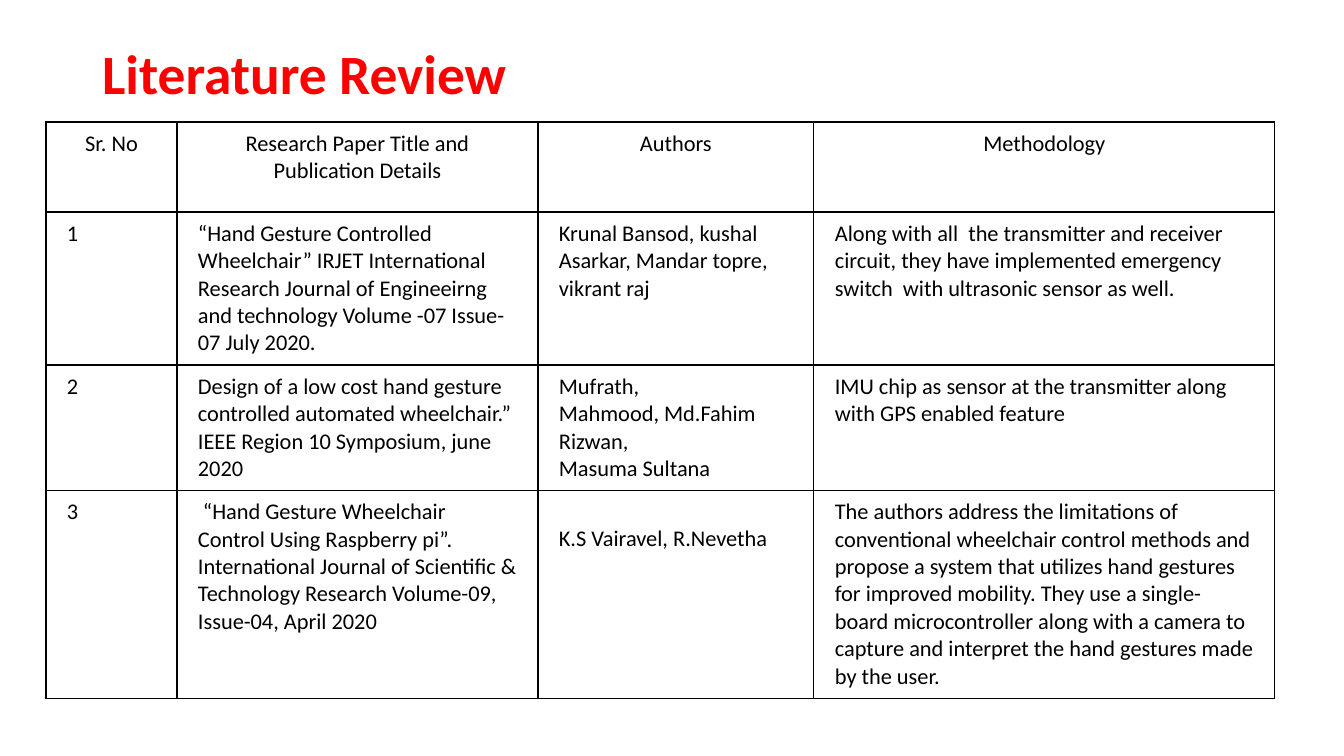
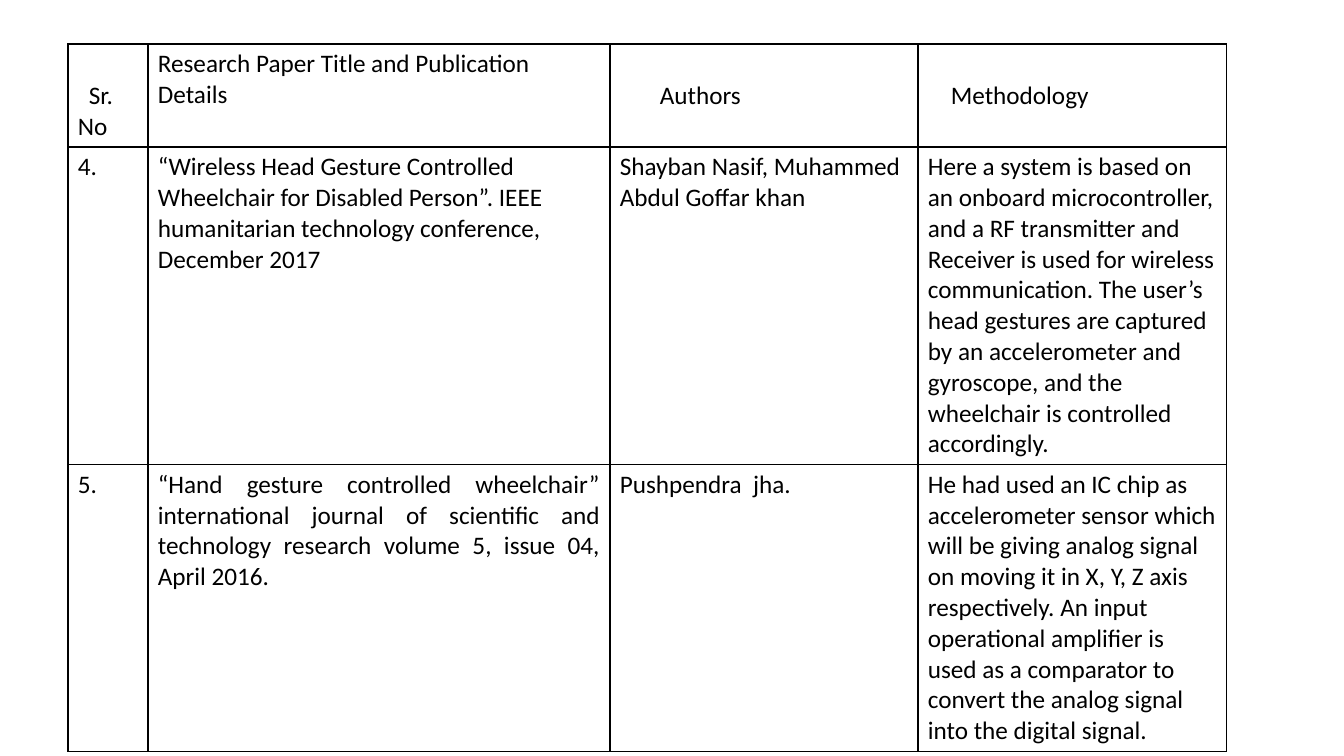
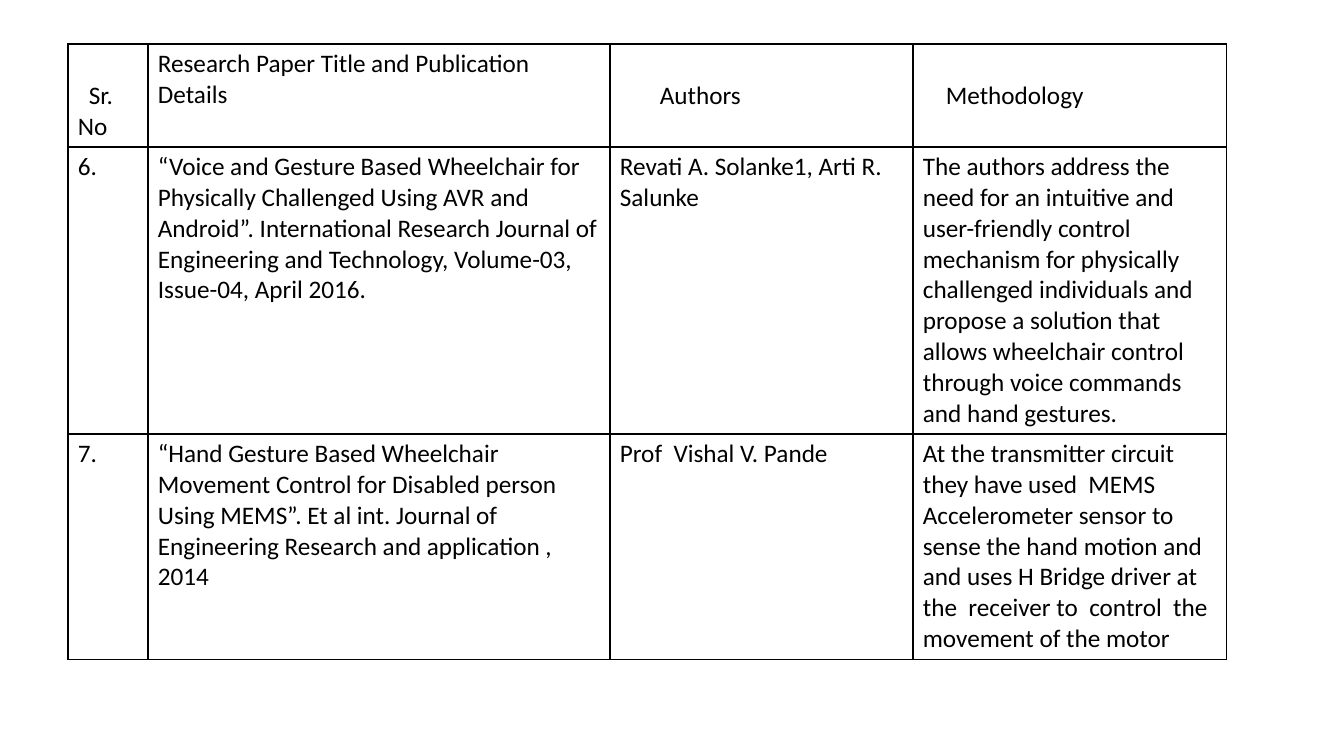
from lxml import etree
from pptx import Presentation
from pptx import util as u
from pptx.dml.color import RGBColor
from pptx.enum import text
from pptx.oxml.ns import qn

PX = 914400 / 100.8
FONT, INK, ACCENT = "Calibri", "000000", "FF0000"
TOP, MIDDLE, BOTTOM = text.MSO_ANCHOR.TOP, text.MSO_ANCHOR.MIDDLE, text.MSO_ANCHOR.BOTTOM
CENTER, JUSTIFY = text.PP_ALIGN.CENTER, text.PP_ALIGN.JUSTIFY


def px(length):
    return u.Emu(round(length * PX))


def color(hex_value):
    return RGBColor.from_string(hex_value)


# Shared formats
title_font = {"name": FONT, "size": u.Pt(39.6), "bold": True}
headings = ["Sr. No", "Research Paper Title and Publication Details", "Authors", "Methodology"]
centred_header = {(0, column): {"align": CENTER} for column in range(4)}
offset_header = {
    (0, 0): {"anchor": BOTTOM, "indent": 11},
    (0, 2): {"anchor": MIDDLE, "indent": 40},
    (0, 3): {"anchor": MIDDLE, "indent": 23},
}
wide_page = {"left": 68, "top": 44, "size": 18, "inset": (10, 5)}

# Review pages
pages = [
    {
        "title": "Literature Review",
        "left": 46, "top": 122, "size": 16, "inset": (21, 8),
        "widths": [131, 361, 276, 461],
        "heights": [90, 153, 125, 208],
        "formats": {**centred_header, (3, 1): {"indent": 5}, (3, 2): {"drop": 27}},
        "papers": [
            ["1",
             "“Hand Gesture Controlled Wheelchair” IRJET International Research Journal of "
             "Engineeirng and technology Volume -07 Issue- 07 July 2020.",
             "Krunal Bansod, kushal Asarkar, Mandar topre, vikrant raj",
             "Along with all  the transmitter and receiver circuit, they have implemented "
             "emergency switch  with ultrasonic sensor as well."],
            ["2",
             "Design of a low cost hand gesture controlled automated wheelchair.” "
             "IEEE Region 10 Symposium, june 2020",
             "Mufrath,\nMahmood, Md.Fahim Rizwan,\nMasuma Sultana",
             "IMU chip as sensor at the transmitter along with GPS enabled feature"],
            ["3",
             "“Hand Gesture Wheelchair Control Using Raspberry pi”. International Journal of "
             "Scientific & Technology Research Volume-09, Issue-04, April 2020",
             "K.S Vairavel, R.Nevetha",
             "The authors address the limitations of conventional wheelchair control methods "
             "and propose a system that utilizes hand gestures for improved mobility. They use "
             "a single-board microcontroller along with a camera to capture and interpret the "
             "hand gestures made by the user."],
        ],
    },
    {
        **wide_page,
        "widths": [80, 462, 308, 309],
        "heights": [103, 317, 287],
        "formats": {**offset_header, (2, 1): {"align": JUSTIFY}},
        "papers": [
            ["4.",
             "“Wireless Head Gesture Controlled Wheelchair for Disabled Person”. IEEE "
             "humanitarian technology conference, December 2017",
             "Shayban Nasif, Muhammed Abdul Goffar khan",
             "Here a system is based on an onboard microcontroller, and a RF transmitter and "
             "Receiver is used for wireless communication. The user’s head gestures are "
             "captured by an accelerometer and gyroscope, and the wheelchair is controlled "
             "accordingly."],
            ["5.",
             "“Hand gesture controlled wheelchair” international journal of scientific and "
             "technology research volume 5, issue 04, April 2016.",
             "Pushpendra  jha.",
             "He had used an IC chip as accelerometer sensor which will be giving analog signal "
             "on moving it in X, Y, Z axis respectively. An input operational amplifier is used "
             "as a comparator to convert the analog signal into the digital signal."],
        ],
    },
    {
        **wide_page,
        "widths": [80, 462, 303, 314],
        "heights": [103, 287, 225],
        "formats": offset_header,
        "papers": [
            ["6.",
             "“Voice and Gesture Based Wheelchair for Physically Challenged Using AVR and "
             "Android”. International Research Journal of Engineering and Technology, "
             "Volume-03, Issue-04, April 2016.",
             "Revati A. Solanke1, Arti R. Salunke",
             "The authors address the need for an intuitive and user-friendly control mechanism "
             "for physically challenged individuals and propose a solution that allows "
             "wheelchair control through voice commands and hand gestures."],
            ["7.",
             "“Hand Gesture Based Wheelchair Movement Control for Disabled person Using MEMS”. "
             "Et al int. Journal of Engineering Research and application , 2014",
             "Prof  Vishal V. Pande",
             "At the transmitter circuit they have used  MEMS Accelerometer sensor to sense the "
             "hand motion and and uses H Bridge driver at the  receiver to  control  the "
             "movement of the motor"],
        ],
    },
]

prs = Presentation()
prs.slide_width, prs.slide_height = px(1344), px(756)
title_only, blank = prs.slide_layouts[5], prs.slide_layouts[6]

for page in pages:
    slide = prs.slides.add_slide(title_only if "title" in page else blank)

    # Heading
    if "title" in page:
        heading = slide.shapes.title
        heading.left, heading.top, heading.width, heading.height = map(px, (92, 40, 1159, 73))
        frame = heading.text_frame
        frame.text = page["title"]
        frame.auto_size = text.MSO_AUTO_SIZE.NONE
        frame.vertical_anchor = MIDDLE
        line = frame.paragraphs[0]
        line.alignment, line.line_spacing = text.PP_ALIGN.LEFT, 0.9
        for key, value in title_font.items():
            setattr(line.runs[0].font, key, value)
        line.runs[0].font.color.rgb = color(ACCENT)

    # Review table
    rows = [headings] + page["papers"]
    review = slide.shapes.add_table(
        len(rows), len(headings), px(page["left"]), px(page["top"]),
        px(sum(page["widths"])), px(sum(page["heights"]))).table
    review.first_row = review.horz_banding = False
    for column, width in zip(review.columns, page["widths"]):
        column.width = px(width)
    for row, height in zip(review.rows, page["heights"]):
        row.height = px(height)

    side, edge = page["inset"]
    for r, entries in enumerate(rows):
        for c, entry in enumerate(entries):
            cell = review.cell(r, c)
            own = page["formats"].get((r, c), {})
            cell.text = entry
            cell.fill.background()
            cell_format = {
                "margin_left": px(side), "margin_right": px(side),
                "margin_top": px(edge + own.get("drop", 0)), "margin_bottom": px(edge),
                "vertical_anchor": own.get("anchor", TOP),
            }
            for key, value in cell_format.items():
                setattr(cell, key, value)

            for paragraph in cell.text_frame.paragraphs:
                paragraph.alignment = own.get("align", text.PP_ALIGN.LEFT)
                if "indent" in own:
                    paragraph._p.get_or_add_pPr().set("indent", str(px(own["indent"])))
                for run in paragraph.runs:
                    run.font.name, run.font.size = FONT, u.Pt(page["size"])
                    run.font.color.rgb = color(INK)

            # Cell borders come before the fill
            properties = cell._tc.get_or_add_tcPr()
            for place, tag in enumerate(("a:lnL", "a:lnR", "a:lnT", "a:lnB")):
                border = etree.Element(qn(tag), w=str(u.Pt(1)))
                solid = etree.SubElement(border, qn("a:solidFill"))
                etree.SubElement(solid, qn("a:srgbClr"), val=INK)
                properties.insert(place, border)

prs.save("out.pptx")
